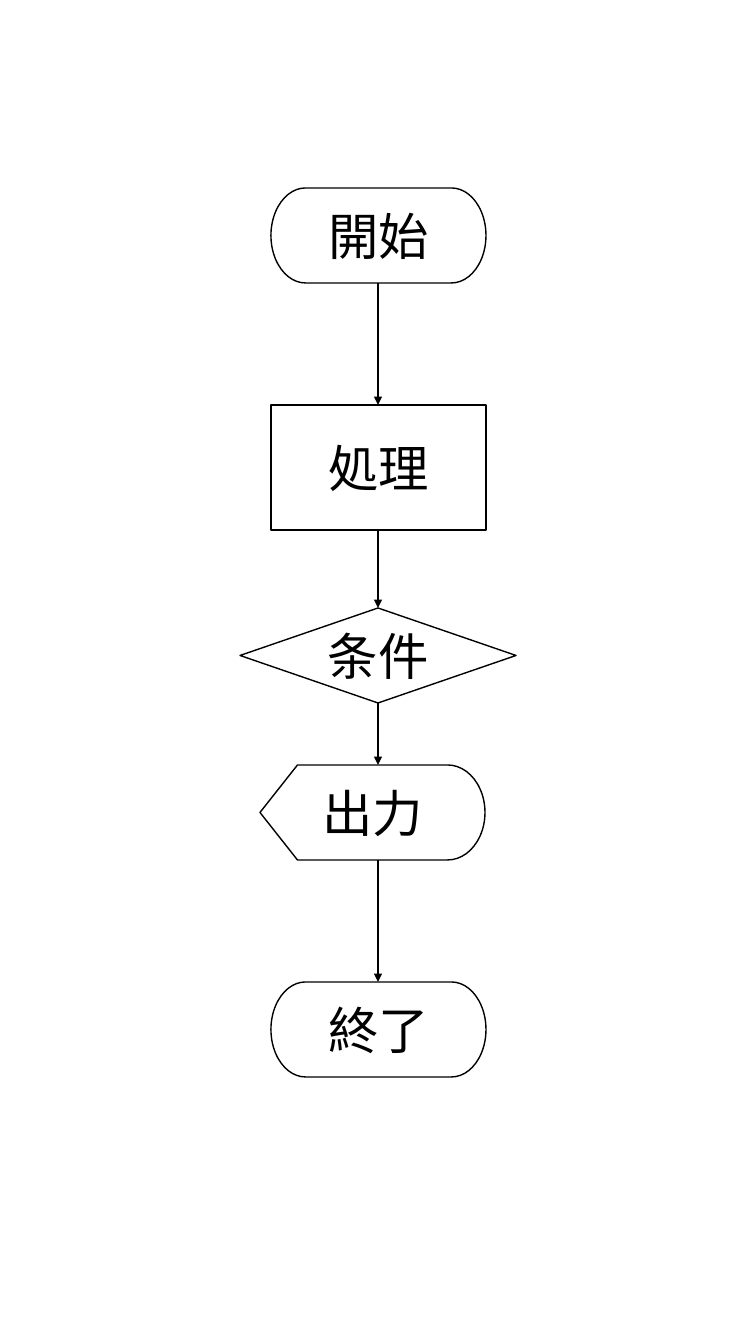
"""Build a vertical flowchart slide with five steps joined by arrows."""
from itertools import pairwise

from lxml.etree import SubElement
from pptx import Presentation
from pptx.dml.color import RGBColor
from pptx.enum.shapes import MSO_CONNECTOR, MSO_SHAPE as Shape
from pptx.enum.text import MSO_ANCHOR, PP_ALIGN
from pptx.oxml.ns import qn
from pptx.util import Emu, Pt

SCALE = 914400 / 100.8
BLACK = RGBColor(0x00, 0x00, 0x00)
WHITE = RGBColor(0xFF, 0xFF, 0xFF)
FONT = "Noto Sans CJK JP"
FONT_FORMAT = {"name": FONT, "size": Pt(36)}
CENTER = 378

STEPS = [
    ("開始", Shape.FLOWCHART_TERMINATOR, 271, 188, 215, 95),
    ("処理", Shape.FLOWCHART_PROCESS, 271, 405, 215, 125),
    ("条件", Shape.FLOWCHART_DECISION, 240, 608, 276, 95),
    ("出力", Shape.FLOWCHART_DISPLAY, 260, 765, 225, 95),
    ("終了", Shape.FLOWCHART_TERMINATOR, 271, 982, 215, 95),
]


def px(*lengths):
    return [Emu(round(length * SCALE)) for length in lengths]


deck = Presentation()
deck.slide_width, deck.slide_height = px(756, 1344)
page = deck.slides.add_slide(deck.slide_layouts[6])

for label, kind, left, top, width, height in STEPS:
    box = page.shapes.add_shape(kind, *px(left, top, width, height))
    box.shadow.inherit = False
    box.fill.solid()
    box.fill.fore_color.rgb = WHITE
    box.line.color.rgb = BLACK
    box.line.width = Pt(1)
    box.text_frame.vertical_anchor = MSO_ANCHOR.MIDDLE
    para = box.text_frame.paragraphs[0]
    para.alignment = PP_ALIGN.CENTER
    span = para.add_run()
    span.text = label
    for name, value in FONT_FORMAT.items():
        setattr(span.font, name, value)
    span.font.color.rgb = BLACK
    SubElement(span.font._element, qn("a:ea"), typeface=FONT)

for (*_, top, _, height), (*_, next_top, _, _) in pairwise(STEPS):
    arrow = page.shapes.add_connector(
        MSO_CONNECTOR.STRAIGHT, *px(CENTER, top + height, CENTER, next_top)
    )
    arrow.line.color.rgb = BLACK
    arrow.line.width = Pt(1.5)
    SubElement(arrow.line._get_or_add_ln(), qn("a:tailEnd"), type="triangle")
    SubElement(arrow._element.spPr, qn("a:effectLst"))

deck.save("out.pptx")
